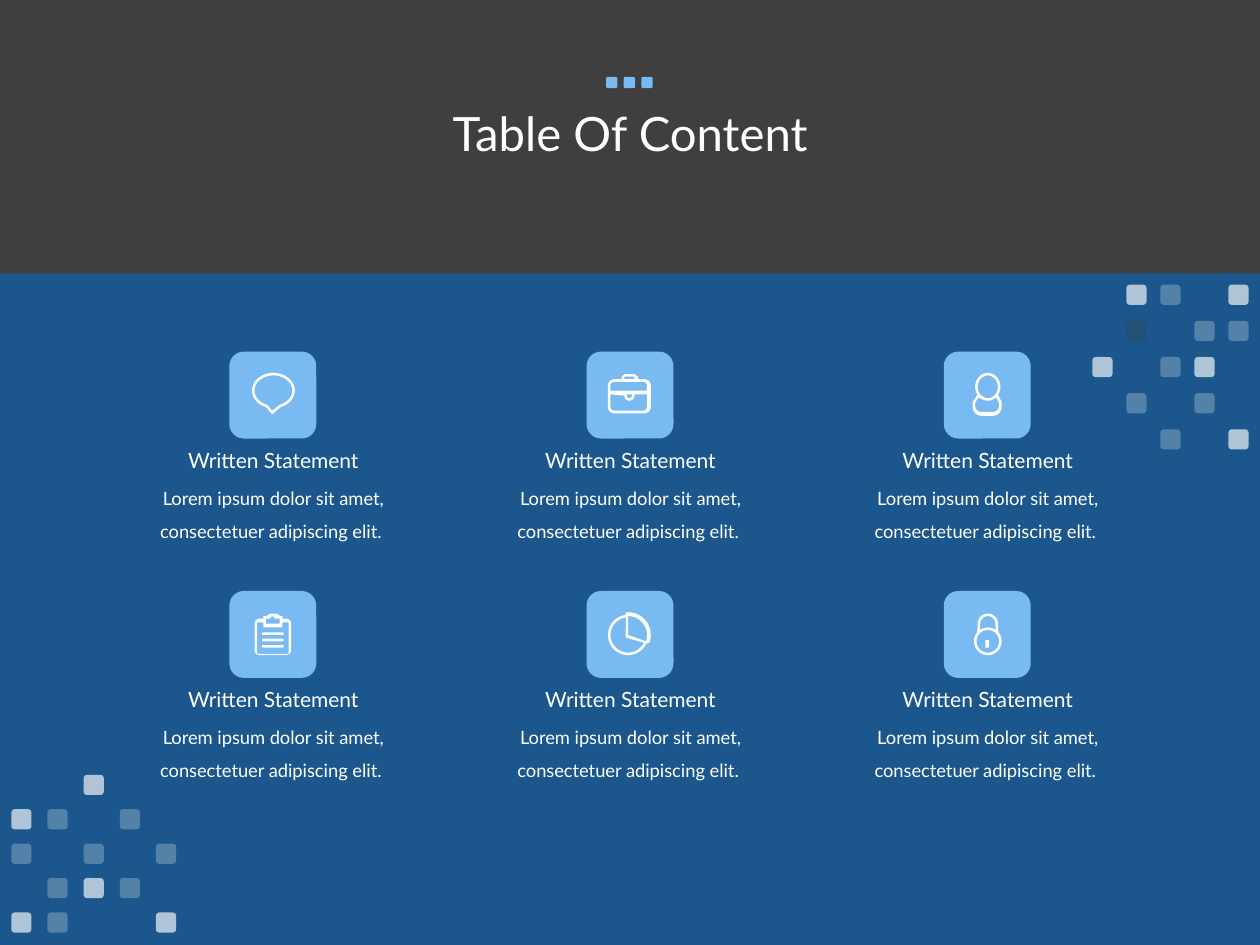
"""Build the "Table Of Content" slide with six icon tiles."""
import math

from lxml import etree
from pptx import Presentation
from pptx.dml.color import RGBColor
from pptx.enum import shapes, text
from pptx.oxml.ns import qn
from pptx.util import Inches, Pt

WHITE = RGBColor(0xFF, 0xFF, 0xFF)
DARK = RGBColor(0x3F, 0x3F, 0x3F)
BLUE = RGBColor(0x10, 0x60, 0xA6)
SKY = RGBColor(0x7A, 0xBA, 0xF2)
ROUNDED = shapes.MSO_SHAPE.ROUNDED_RECTANGLE


def arc(x, y, radius_x, radius_y, start=0, sweep=360):
    """Return points along an elliptical arc, in degrees clockwise from the right."""
    steps = max(4, abs(sweep) // 8)
    angles = [math.radians(start + sweep * step / steps) for step in range(steps + 1)]
    return [(x + radius_x * math.cos(a), y + radius_y * math.sin(a)) for a in angles]


def add_box(parent, kind, left, top, width, height, color, opacity=100):
    """Add a plain filled shape with an optional opacity in percent."""
    shape = parent.add_shape(kind, Inches(left), Inches(top), Inches(width), Inches(height))
    shape.shadow.inherit = False
    shape.line.fill.background()
    shape.fill.solid()
    shape.fill.fore_color.rgb = color
    if opacity < 100:
        color_element = shape.fill._xPr.find(qn("a:solidFill"))[0]
        etree.SubElement(color_element, qn("a:alpha")).set("val", str(opacity * 1000))


presentation = Presentation()
presentation.slide_width = Inches(10)
presentation.slide_height = Inches(7.5)
slide = presentation.slides.add_slide(presentation.slide_layouts[5])
slide.background.fill.solid()
slide.background.fill.fore_color.rgb = DARK

title = slide.shapes.title
title.left, title.top, title.width, title.height = map(Inches, (0.69, 0.36, 8.62, 1.45))
title.text_frame.auto_size = text.MSO_AUTO_SIZE.NONE
title.text_frame.vertical_anchor = text.MSO_ANCHOR.MIDDLE
paragraph = title.text_frame.paragraphs[0]
paragraph.alignment = text.PP_ALIGN.CENTER
paragraph.line_spacing = 0.9
run = paragraph.add_run()
run.text = "Table Of Content"
run.font.size = Pt(27)
run.font.name = "Lato"
run.font.color.rgb = WHITE

add_box(slide.shapes, shapes.MSO_SHAPE.RECTANGLE, 0, 2.17, 10, 5.33, BLUE, 75)

bubble = [
    arc(0.35, 0.31, 0.17, 0.14, 110, 320) + [(0.34, 0.5)],
    arc(0.35, 0.31, 0.15, 0.12, 110, 320) + [(0.34, 0.47)],
]
briefcase = [
    arc(0.22, 0.27, 0.05, 0.05, 180, 90) + arc(0.46, 0.27, 0.05, 0.05, 270, 90)
    + arc(0.46, 0.44, 0.05, 0.05, 0, 90) + arc(0.22, 0.44, 0.05, 0.05, 90, 90),
    [(0.28, 0.22), (0.28, 0.2), (0.3, 0.18), (0.38, 0.18), (0.41, 0.2), (0.41, 0.22),
     (0.38, 0.22), (0.38, 0.2), (0.3, 0.2), (0.3, 0.22)],
    [(0.19, 0.31), (0.19, 0.26), (0.21, 0.24), (0.46, 0.24), (0.48, 0.26), (0.48, 0.31)],
    [(0.19, 0.34)] + arc(0.34, 0.35, 0.04, 0.04, 180, -180)
    + [(0.38, 0.34), (0.48, 0.34), (0.48, 0.45), (0.46, 0.47), (0.21, 0.47), (0.19, 0.45)],
    [(0.32, 0.34)] + arc(0.34, 0.35, 0.02, 0.02, 180, -180) + [(0.36, 0.34)],
]
person = [
    arc(0.35, 0.28, 0.1, 0.11, 145, 250) + [(0.46, 0.4)]
    + arc(0.39, 0.44, 0.07, 0.07, 0, 90) + arc(0.3, 0.44, 0.07, 0.07, 90, 90) + [(0.23, 0.4)],
    arc(0.35, 0.28, 0.08, 0.09),
    arc(0.35, 0.28, 0.1, 0.11, 125, -70) + [(0.42, 0.37), (0.44, 0.41)]
    + arc(0.39, 0.43, 0.05, 0.05, 0, 90) + arc(0.3, 0.43, 0.05, 0.05, 90, 90)
    + [(0.25, 0.41), (0.27, 0.37)],
]
clipboard = [
    arc(0.24, 0.26, 0.04, 0.04, 180, 90) + arc(0.45, 0.26, 0.04, 0.04, 270, 90)
    + arc(0.45, 0.47, 0.04, 0.04, 0, 90) + arc(0.24, 0.47, 0.04, 0.04, 90, 90),
    [(0.27, 0.22), (0.27, 0.2)] + arc(0.35, 0.2, 0.05, 0.02, 180, 180)
    + [(0.42, 0.2), (0.42, 0.22)],
    [(0.22, 0.25), (0.27, 0.25), (0.27, 0.29), (0.42, 0.29), (0.42, 0.25), (0.47, 0.25),
     (0.47, 0.5), (0.22, 0.5)],
    [(0.29, 0.22), (0.32, 0.22), (0.34, 0.2), (0.37, 0.22), (0.4, 0.22), (0.4, 0.26),
     (0.29, 0.26)],
] + [
    [(0.26, y), (0.43, y), (0.43, y + 0.02), (0.26, y + 0.02)] for y in (0.33, 0.38, 0.43)
]
pie = [
    [(0.31, 0.17)] + arc(0.33, 0.35, 0.18, 0.18, -90, 110)
    + arc(0.33, 0.35, 0.16, 0.16, 25, 238),
    [(0.31, 0.37), (0.45, 0.41)] + arc(0.33, 0.35, 0.14, 0.14, 25, 238),
    [(0.33, 0.35), (0.47, 0.4)] + arc(0.33, 0.35, 0.15, 0.15, 18, -108),
]
lock = [
    arc(0.35, 0.26, 0.08, 0.08, 180, 180) + arc(0.35, 0.4, 0.11, 0.11, -40, 260),
    arc(0.35, 0.26, 0.06, 0.06, 180, 180) + arc(0.35, 0.4, 0.11, 0.11, -55, -70),
    arc(0.35, 0.4, 0.09, 0.09),
    [(0.33, 0.39), (0.36, 0.39), (0.36, 0.45), (0.33, 0.45)],
]

captions = [
    ("Lorem ipsum dolor sit amet, consectetuer adipiscing elit. ", 0.95, 0.6, 10.5, 1.5),
    ("Written Statement", 0.71, 0.3, 12, 1),
]
for index, icon in enumerate([bubble, briefcase, person, clipboard, pie, lock]):
    row, column = divmod(index, 3)
    left = 1.82 + 2.835 * column
    top = 2.79 + 1.9 * row
    add_box(slide.shapes, ROUNDED, left, top, 0.69, 0.69, SKY)

    builder = None
    for contour in icon:
        points = [(Inches(left + x), Inches(top + y)) for x, y in contour]
        if builder is None:
            builder = slide.shapes.build_freeform(*points[0])
        else:
            builder.move_to(*points[0])
        builder.add_line_segments(points[1:], close=True)
    shape = builder.convert_to_shape()
    shape.shadow.inherit = False
    shape.fill.solid()
    shape.fill.fore_color.rgb = WHITE
    shape.line.fill.background()

    for words, offset, height, size, spacing in captions:
        box = slide.shapes.add_textbox(
            Inches(left - 0.9), Inches(top + offset), Inches(2.5), Inches(height))
        frame = box.text_frame
        frame.word_wrap = True
        frame.auto_size = text.MSO_AUTO_SIZE.SHAPE_TO_FIT_TEXT
        frame.vertical_anchor = text.MSO_ANCHOR.MIDDLE
        paragraph = frame.paragraphs[0]
        paragraph.alignment = text.PP_ALIGN.CENTER
        paragraph.line_spacing = spacing
        run = paragraph.add_run()
        run.text = words
        run.font.size = Pt(size)
        run.font.name = "Lato"
        run.font.color.rgb = WHITE

square_styles = {"W": (WHITE, 65), "f": (WHITE, 25), "d": (DARK, 25), "S": (SKY, 100)}
mosaics = [
    (0.09, 6.15, 0.287, 0.273, 0.16, ["..W..", "Wf.f.", "f.f.f", ".fWf.", "Wf..W"]),
    (8.67, 2.26, 0.27, 0.287, 0.16, [".Wf.W", ".d.ff", "W.fW.", ".f.f.", "..f.W"]),
    (4.81, 0.61, 0.14, 0, 0.09, ["SSS"]),
]
for left, top, step_x, step_y, side, pattern in mosaics:
    group = slide.shapes.add_group_shape()
    for row, marks in enumerate(pattern):
        for column, mark in enumerate(marks):
            if mark in square_styles:
                add_box(group.shapes, ROUNDED, left + step_x * column, top + step_y * row,
                        side, side, *square_styles[mark])

presentation.save("out.pptx")
